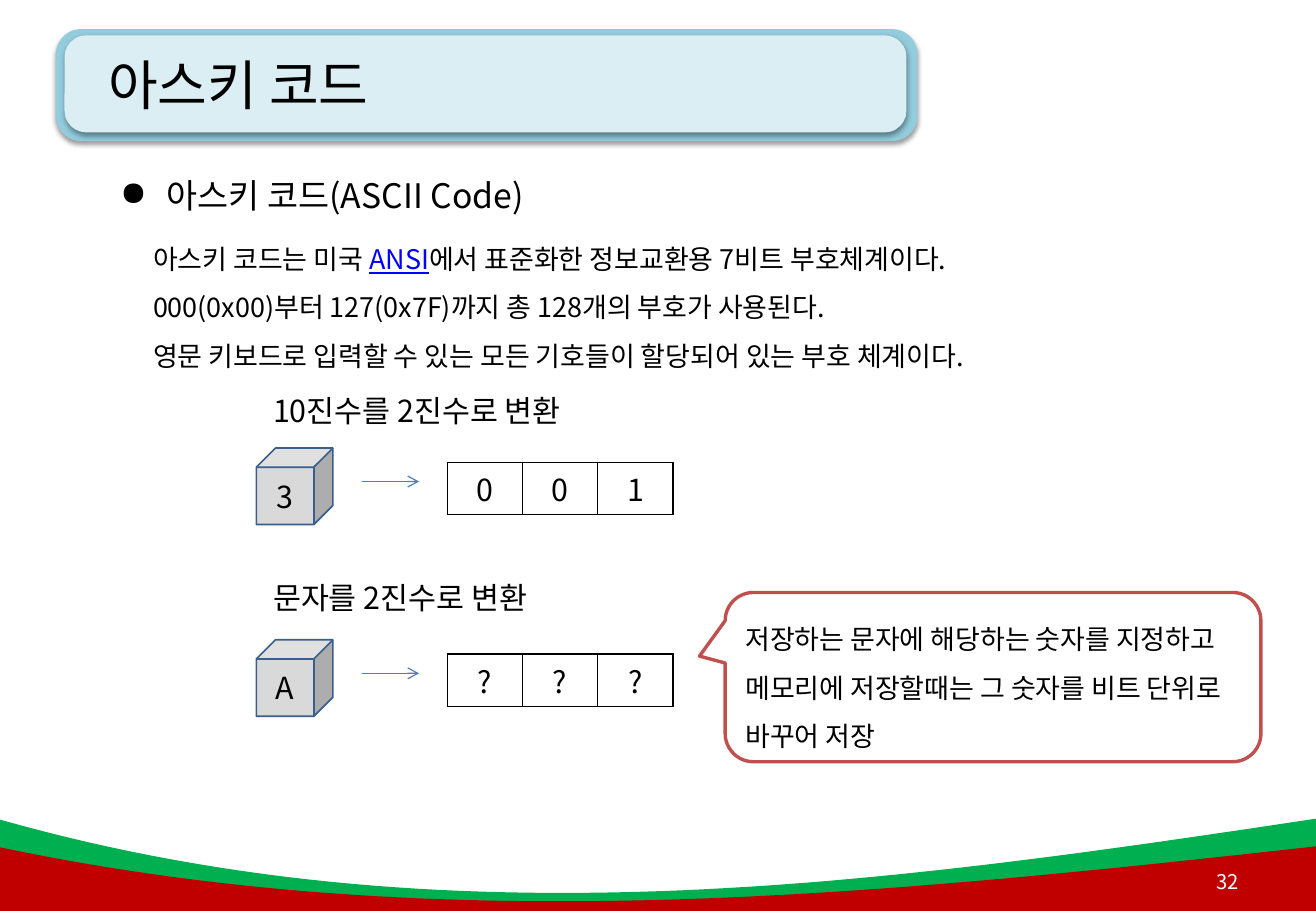
import pptx
import pptx.dml.color
import pptx.enum.shapes
import pptx.enum.text
import pptx.oxml
import pptx.oxml.ns
import pptx.util

Cm = pptx.util.Cm
Pt = pptx.util.Pt
SHAPES = pptx.enum.shapes.MSO_SHAPE
ALIGN = pptx.enum.text.PP_ALIGN
ANCHOR = pptx.enum.text.MSO_ANCHOR
FONT = "Noto Sans CJK KR"
WIDTH, HEIGHT = 27.51, 19.05


def color(value):
    return pptx.dml.color.RGBColor.from_string(value)


def add_xml(parent, tag, attributes="", content=""):
    namespace = pptx.oxml.ns.nsdecls("a")
    element = pptx.oxml.parse_xml(f"<a:{tag} {namespace} {attributes}>{content}</a:{tag}>")
    parent.append(element)
    return element


def format_run(run, size, hex_color):
    run.font.size = Pt(size)
    run.font.name = FONT
    run.font.color.rgb = color(hex_color)
    add_xml(run.font._element, "ea", f'typeface="{FONT}"')


def format_text(frame, size, hex_color="000000", align=ALIGN.LEFT, anchor=ANCHOR.TOP, spacing=None):
    frame.word_wrap = True
    frame.vertical_anchor = anchor
    for paragraph in frame.paragraphs:
        paragraph.alignment = align
        paragraph.line_spacing = spacing
        for run in paragraph.runs:
            format_run(run, size, hex_color)


def add_text(slide, box, text, size, **options):
    frame = slide.shapes.add_textbox(*map(Cm, box)).text_frame
    frame.text = text
    format_text(frame, size, **options)
    return frame


def add_box(slide, kind, box, fill, line=None, line_width=1):
    shape = slide.shapes.add_shape(kind, *map(Cm, box))
    shape.shadow.inherit = False
    shape.fill.solid()
    shape.fill.fore_color.rgb = color(fill)
    if line:
        shape.line.color.rgb = color(line)
        shape.line.width = Pt(line_width)
    else:
        shape.line.fill.background()
    return shape


def add_wave(slide, points, fill):
    steps = 60
    curve = []
    for step in range(steps + 1):
        t = step / steps
        weights = ((1 - t) ** 3, 3 * t * (1 - t) ** 2, 3 * t * t * (1 - t), t ** 3)
        curve.append(tuple(Cm(sum(w * p[axis] for w, p in zip(weights, points))) for axis in (0, 1)))
    builder = slide.shapes.build_freeform(*curve[0])
    corners = [(Cm(WIDTH), Cm(HEIGHT)), (0, Cm(HEIGHT))]
    builder.add_line_segments(curve[1:] + corners, close=True)
    wave = builder.convert_to_shape()
    wave.shadow.inherit = False
    wave.fill.solid()
    wave.fill.fore_color.rgb = color(fill)
    wave.line.fill.background()


def add_footer(slide, number):
    add_wave(slide, [(0, 17.14), (9.25, 19.76), (18.26, 18.52), (WIDTH, 17.12)], "00B050")
    add_wave(slide, [(0, 17.72), (9.25, 19.66), (18.26, 18.72), (WIDTH, 17.7)], "C00000")
    add_text(slide, (24.59, 17.93, 1.55, 1.02), number, 12,
             hex_color="FFFFFF", align=ALIGN.RIGHT, anchor=ANCHOR.MIDDLE)


def add_banner(slide, left, top, width, height, title):
    outer = (left, top, width, height)
    inner = (left + 0.18, top + 0.13, width - 0.41, height - 0.31)
    for box, fill in ((outer, "93CDDD"), (inner, "DBEEF4")):
        shape = add_box(slide, SHAPES.ROUNDED_RECTANGLE, box, fill)
        shape.adjustments[0] = 0.225
        effects = shape._element.spPr.find(pptx.oxml.ns.qn("a:effectLst"))
        add_xml(effects, "outerShdw", 'blurRad="39370" dist="20320" dir="5400000" rotWithShape="0"',
                '<a:srgbClr val="000000"><a:alpha val="38000"/></a:srgbClr>')
    frame = add_text(slide, (left + 0.58, top - 0.05, width - 0.79, height + 0.05), title, 32,
                     anchor=ANCHOR.MIDDLE)
    frame.margin_left = Cm(0.51)


def add_description(slide, left, top, width):
    heading = slide.shapes.add_textbox(Cm(left), Cm(top), Cm(9.88), Cm(1.12)).text_frame
    heading.text = "아스키 코드(ASCII Code)"
    properties = heading.paragraphs[0]._p.get_or_add_pPr()
    properties.set("marL", str(Cm(0.97)))
    properties.set("indent", str(-Cm(0.97)))
    add_xml(properties, "buChar", 'char="●"')
    format_text(heading, 20)

    body = add_text(slide, (left + 0.69, top + 1.07, width - 0.69, 3.33),
                    "\n000(0x00)부터 127(0x7F)까지 총 128개의 부호가 사용된다."
                    "\n영문 키보드로 입력할 수 있는 모든 기호들이 할당되어 있는 부호 체계이다.",
                    16, spacing=1.5)
    parts = (("아스키 코드는 미국 ", "000000"), ("ANSI", "0000FF"),
             ("에서 표준화한 정보교환용 7비트 부호체계이다.", "000000"))
    for text, hex_color in parts:
        run = body.paragraphs[0].add_run()
        run.text = text
        format_run(run, 16, hex_color)
        run.font.underline = text == "ANSI"


def add_bits(slide, left, top, width, height, bits):
    table = slide.shapes.add_table(1, len(bits), Cm(left), Cm(top), Cm(width), Cm(height)).table
    table.first_row = False
    table.horz_banding = False
    for cell, bit in zip(table.rows[0].cells, bits):
        cell.text = bit
        cell.margin_top = cell.margin_bottom = Cm(0.05)
        cell.vertical_anchor = ANCHOR.MIDDLE
        cell.text_frame.paragraphs[0].alignment = ALIGN.CENTER
        format_run(cell.text_frame.paragraphs[0].runs[0], 18, "000000")
        for side in ("lnL", "lnR", "lnT", "lnB"):
            add_xml(cell._tc.get_or_add_tcPr(), side, 'w="12700"',
                    '<a:solidFill><a:srgbClr val="000000"/></a:solidFill>')
        cell.fill.background()


def add_conversion(slide, left, top, heading_gap, heading, symbol, bits):
    add_text(slide, (left + 0.1, top - heading_gap, 8.2, 1.02), heading, 18)
    cube = add_box(slide, SHAPES.CUBE, (left, top, 1.6, 1.6), "D9D9D9", "3A5F8C")
    cube.text_frame.text = symbol
    format_text(cube.text_frame, 18, align=ALIGN.CENTER, anchor=ANCHOR.MIDDLE)
    arrow = slide.shapes.add_connector(pptx.enum.shapes.MSO_CONNECTOR.STRAIGHT, Cm(left + 2.2),
                                       Cm(top + 0.7), Cm(left + 3.4), Cm(top + 0.7))
    arrow.line.color.rgb = color("4B7EBC")
    arrow.line.width = Pt(0.75)
    add_xml(arrow.line._get_or_add_ln(), "tailEnd", 'type="arrow"')
    add_xml(arrow._element.spPr, "effectLst")
    add_bits(slide, left + 3.99, top + 0.3, 4.72, 1.09, bits)


def add_callout(slide, box, text):
    callout = add_box(slide, SHAPES.ROUNDED_RECTANGULAR_CALLOUT, box, "FFFFFF", "C0504D", 2)
    for index, value in enumerate((-0.548, -0.124, 0.167)):
        callout.adjustments[index] = value
    callout.text_frame.text = text
    format_text(callout.text_frame, 16, spacing=1.5)


def main():
    presentation = pptx.Presentation()
    presentation.slide_width, presentation.slide_height = Cm(WIDTH), Cm(HEIGHT)
    slide = presentation.slides.add_slide(presentation.slide_layouts[6])
    add_footer(slide, "32")
    add_banner(slide, 1.17, 0.61, 18.01, 2.34, "아스키 코드")
    add_description(slide, 2.26, 3.53, 22.1)
    add_conversion(slide, 5.36, 9.37, 1.3, "10진수를 2진수로 변환", "3", "001")
    add_conversion(slide, 5.36, 13.38, 1.4, "문자를 2진수로 변환", "A", "???")
    add_callout(slide, (15.16, 12.39, 11.2, 3.54),
                "저장하는 문자에 해당하는 숫자를 지정하고 메모리에 저장할때는 그 숫자를 비트 단위로 바꾸어 저장")
    presentation.save("out.pptx")


if __name__ == "__main__":
    main()
